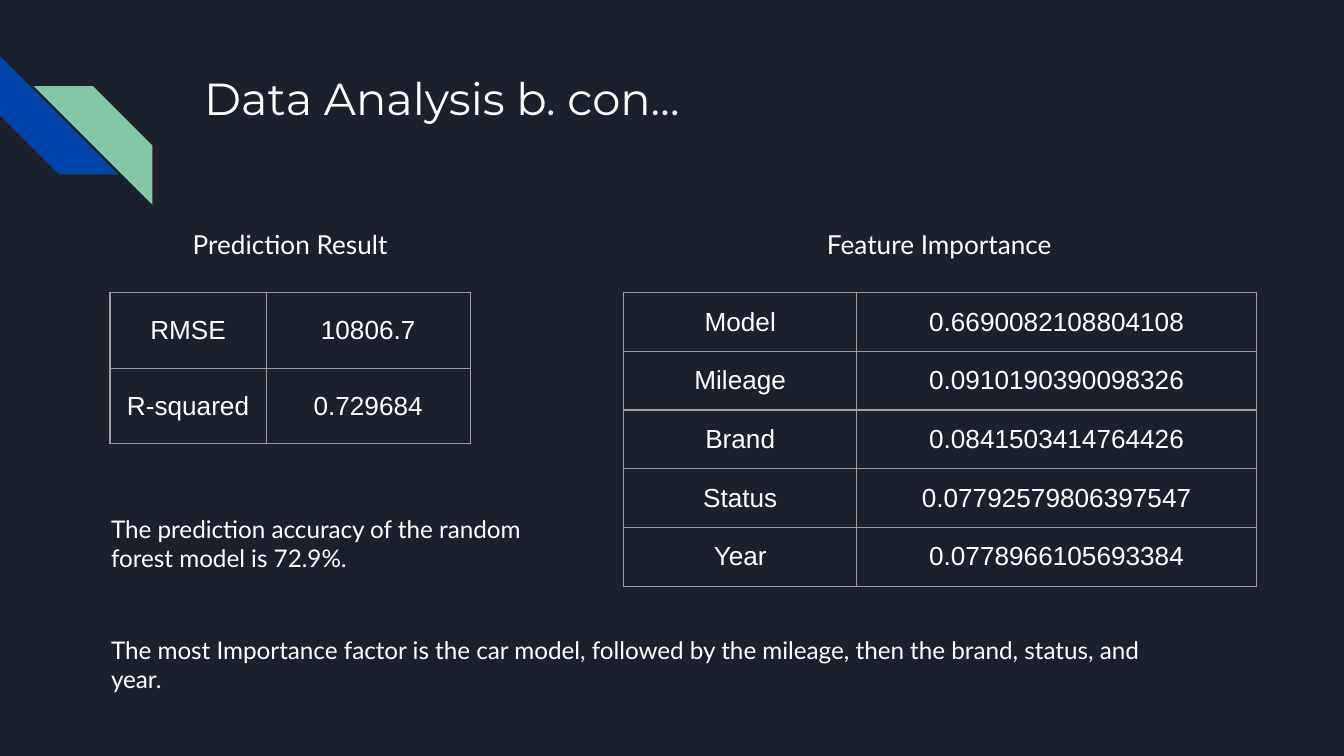
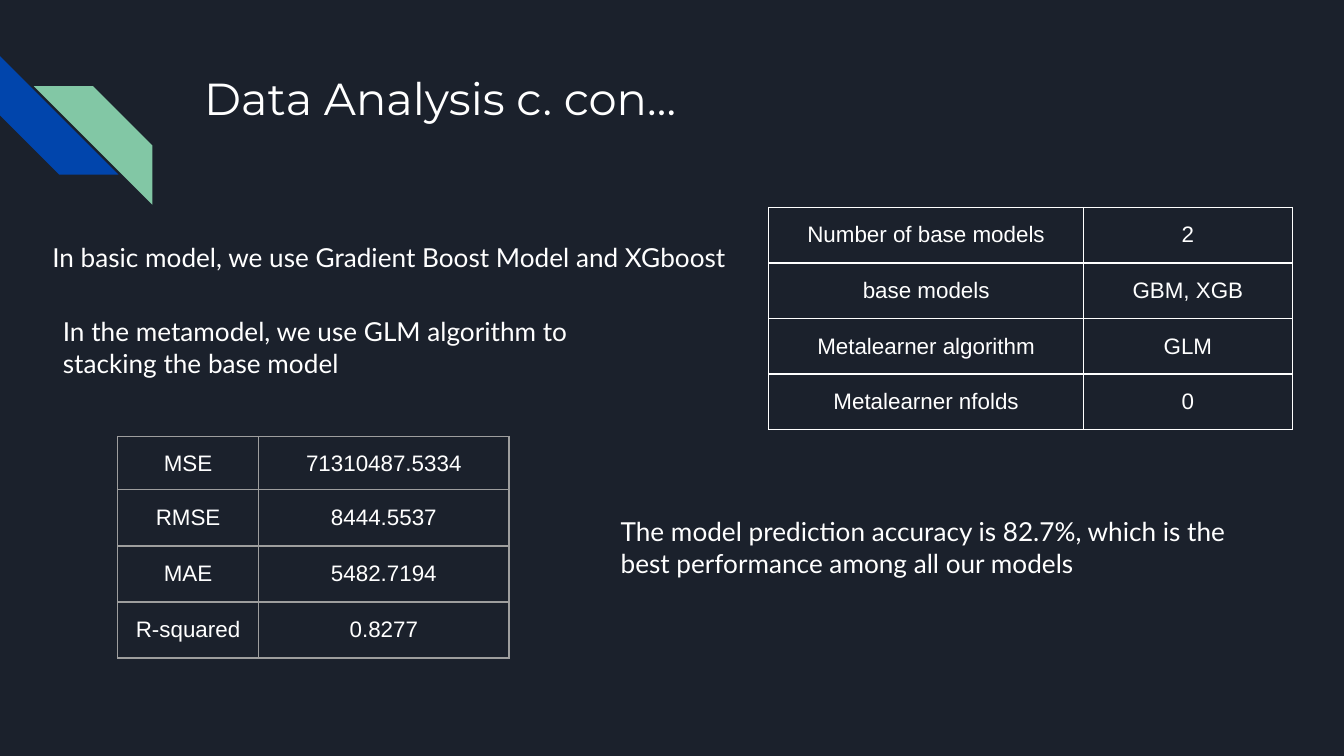
from dataclasses import dataclass

from lxml import etree
from pptx import Presentation
from pptx.dml.color import RGBColor
from pptx.enum.shapes import MSO_SHAPE
from pptx.enum.text import MSO_ANCHOR, PP_ALIGN
from pptx.oxml.ns import qn
from pptx.slide import Slide
from pptx.text.text import TextFrame
from pptx.util import Cm, Pt

STRIPE = MSO_SHAPE.DIAGONAL_STRIPE
TOP, MIDDLE = MSO_ANCHOR.TOP, MSO_ANCHOR.MIDDLE
LEFT, CENTER = PP_ALIGN.LEFT, PP_ALIGN.CENTER


@dataclass(frozen=True)
class Theme:
    background: str = "1B212C"
    text: str = "FFFFFF"
    blue: str = "0145AC"
    green: str = "82C7A5"
    grey: str = "9E9E9E"
    title_font: str = "Montserrat"
    body_font: str = "Lato"
    table_font: str = "Arial"
    title_size: int = 24
    large: int = 14
    note: int = 13
    small: int = 12
    border: float = 0.75
    inset: float = 0.25


THEME = Theme()


@dataclass(frozen=True)
class Stripe:
    left: float
    top: float
    rotation: int
    color: str


@dataclass(frozen=True)
class Label:
    text: str
    left: float
    top: float
    width: float
    height: float
    size: int = THEME.large
    font: str = THEME.body_font
    align: PP_ALIGN = LEFT
    anchor: MSO_ANCHOR = TOP


@dataclass(frozen=True)
class Grid:
    left: float
    top: float
    columns: tuple[float, ...]
    heights: tuple[float, ...]
    rows: tuple[tuple[str, str], ...]
    size: int = THEME.large
    border: str = THEME.grey


@dataclass(frozen=True)
class Page:
    title: str
    labels: tuple[Label, ...]
    grids: tuple[Grid, ...]


STRIPE_SIZE = 2.24
STRIPES = (
    Stripe(0, 1.06, 270, THEME.blue),
    Stripe(0.64, 1.63, 90, THEME.green),
)


def heading(text: str, left: float) -> Label:
    return Label(text, left, 4.06, 6.35, 1.12, align=CENTER, anchor=MIDDLE)


PAGES = (
    Page(
        "Data Analysis b. con…",
        (
            heading("Prediction Result", 2.31),
            heading("Feature Importance", 14.58),
            Label("The prediction accuracy of the random forest model is 72.9%.",
                  1.85, 9.47, 8.76, 2.74, THEME.note),
            Label("The most Importance factor is the car model, followed by the "
                  "mileage, then the brand, status, and year.",
                  1.85, 11.76, 20.93, 1.68, THEME.note),
        ),
        (
            Grid(2.08, 5.53, (2.95, 3.86), (1.43,) * 2,
                 (("RMSE", "10806.7"), ("R-squared", "0.729684"))),
            Grid(11.79, 5.53, (4.4, 7.56), (1.11,) * 5,
                 (("Model", "0.6690082108804108"),
                  ("Mileage", "0.0910190390098326"),
                  ("Brand", "0.0841503414764426"),
                  ("Status", "0.07792579806397547"),
                  ("Year", "0.0778966105693384"))),
        ),
    ),
    Page(
        "Data Analysis c. con…",
        (
            Label("In basic model, we use Gradient Boost Model and XGboost",
                  0.74, 4.32, 14.15, 1.12),
            Label("In the metamodel, we use GLM algorithm to stacking the base model",
                  0.94, 5.72, 11.66, 1.7),
            Label("The model prediction accuracy is 82.7%, which is the best "
                  "performance among all our models",
                  11.48, 9.5, 12.14, 1.7),
        ),
        (
            Grid(2.22, 8.25, (2.67, 4.73), (0.99,) + (1.06,) * 3,
                 (("MSE", "71310487.5334"), ("RMSE", "8444.5537"),
                  ("MAE", "5482.7194"), ("R-squared", "0.8277")),
                 THEME.small),
            Grid(14.53, 3.92, (5.95, 3.94), (1.05,) * 4,
                 (("Number of base models", "2"), ("base models", "GBM, XGB"),
                  ("Metalearner algorithm", "GLM"), ("Metalearner nfolds", "0")),
                 THEME.small, THEME.text),
        ),
    ),
)


def rgb(value: str) -> RGBColor:
    return RGBColor.from_string(value)


def write(tf: TextFrame, text: str, font: str, size: int, align: PP_ALIGN) -> None:
    tf.text = text
    p = tf.paragraphs[0]
    p.alignment = align
    r = p.runs[0]
    r.font.name = font
    r.font.size = Pt(size)
    r.font.color.rgb = rgb(THEME.text)


def set_margins(box) -> None:
    inset = Cm(THEME.inset)
    box.margin_left = box.margin_right = inset
    box.margin_top = box.margin_bottom = inset


def add_stripe(s: Slide, stripe: Stripe) -> None:
    sp = s.shapes.add_shape(STRIPE, Cm(stripe.left), Cm(stripe.top),
                            Cm(STRIPE_SIZE), Cm(STRIPE_SIZE))
    sp.rotation = stripe.rotation
    sp.shadow.inherit = False
    sp.fill.solid()
    sp.fill.fore_color.rgb = rgb(stripe.color)
    sp.line.fill.background()


def add_label(s: Slide, label: Label) -> None:
    sp = s.shapes.add_textbox(Cm(label.left), Cm(label.top),
                              Cm(label.width), Cm(label.height))
    tf = sp.text_frame
    tf.word_wrap = True
    tf.vertical_anchor = label.anchor
    set_margins(tf)
    write(tf, label.text, label.font, label.size, label.align)


def set_borders(cell, color: str) -> None:
    tc_pr = cell._tc.get_or_add_tcPr()
    for i, side in enumerate(("lnL", "lnR", "lnT", "lnB")):
        ln = etree.Element(qn(f"a:{side}"), w=str(Pt(THEME.border)))
        fill = etree.SubElement(ln, qn("a:solidFill"))
        etree.SubElement(fill, qn("a:srgbClr"), val=color)
        tc_pr.insert(i, ln)


def add_grid(s: Slide, grid: Grid) -> None:
    frame = s.shapes.add_table(len(grid.rows), len(grid.columns),
                               Cm(grid.left), Cm(grid.top),
                               Cm(sum(grid.columns)), Cm(sum(grid.heights)))
    table = frame.table
    table.first_row = table.horz_banding = False
    for column, width in zip(table.columns, grid.columns):
        column.width = Cm(width)
    for row, height, texts in zip(table.rows, grid.heights, grid.rows):
        row.height = Cm(height)
        for cell, text in zip(row.cells, texts):
            cell.fill.background()
            cell.vertical_anchor = MIDDLE
            set_margins(cell)
            write(cell.text_frame, text, THEME.table_font, grid.size, CENTER)
            set_borders(cell, grid.border)


def add_page(prs, page: Page) -> None:
    s = prs.slides.add_slide(prs.slide_layouts[6])
    s.background.fill.solid()
    s.background.fill.fore_color.rgb = rgb(THEME.background)
    for stripe in STRIPES:
        add_stripe(s, stripe)
    add_label(s, Label(page.title, 3.61, 1.09, 19.56, 2.54,
                       THEME.title_size, THEME.title_font))
    for grid in page.grids:
        add_grid(s, grid)
    for label in page.labels:
        add_label(s, label)


def main() -> None:
    prs = Presentation()
    prs.slide_width, prs.slide_height = Cm(25.4), Cm(14.29)
    for page in PAGES:
        add_page(prs, page)
    prs.save("out.pptx")


if __name__ == "__main__":
    main()
